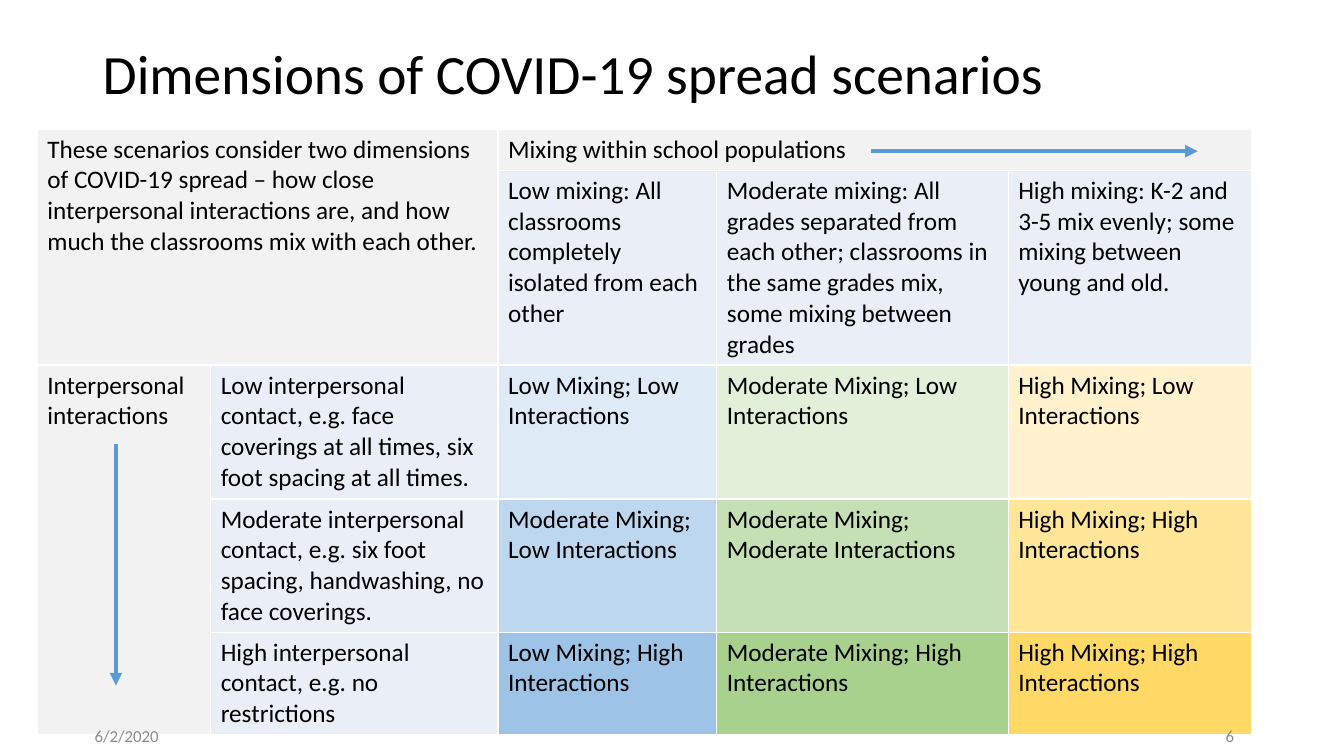
from lxml import etree
from pptx import Presentation
from pptx.dml.color import RGBColor
from pptx.enum.shapes import MSO_CONNECTOR
from pptx.enum.text import MSO_ANCHOR, PP_ALIGN
from pptx.oxml.ns import qn
from pptx.util import Pt

PX = 9144  # EMU per px, 100 px to the inch
STRAIGHT = MSO_CONNECTOR.STRAIGHT
MIDDLE = MSO_ANCHOR.MIDDLE
LEFT, RIGHT = PP_ALIGN.LEFT, PP_ALIGN.RIGHT
GREY, PALE, BLUE = "F2F2F2", "EAEFF7", "5B9BD5"


def rgb(color):
    return RGBColor.from_string(color)


def write(tf, text, size=18, color="000000", align=LEFT, spacing=1.0):
    """Put one formatted paragraph into a text frame."""
    tf.word_wrap = True
    p = tf.paragraphs[0]
    p.alignment = align
    p.line_spacing = spacing
    r = p.add_run()
    r.text = text
    r.font.name = "Calibri"
    r.font.size = Pt(size)
    r.font.color.rgb = rgb(color)


prs = Presentation()
prs.slide_width, prs.slide_height = 1333 * PX, 750 * PX
s = prs.slides.add_slide(prs.slide_layouts[6])

# Scenario table: row, column, text, fill
cells = [
    (0, 0, "These scenarios consider two dimensions of COVID-19 spread – how close "
           "interpersonal interactions are, and how much the classrooms mix with each other.", GREY),
    (0, 2, "Mixing within school populations", GREY),
    (1, 2, "Low mixing: All classrooms completely isolated from each other", PALE),
    (1, 3, "Moderate mixing: All grades separated from each other; classrooms in the same "
           "grades mix, some mixing between grades", PALE),
    (1, 4, "High mixing: K-2 and 3-5 mix evenly; some mixing between young and old.", PALE),
    (2, 0, "Interpersonal interactions", GREY),
    (2, 1, "Low interpersonal contact, e.g. face coverings at all times, "
           "six foot spacing at all times.", PALE),
    (2, 2, "Low Mixing; Low Interactions", "DEEBF7"),
    (2, 3, "Moderate Mixing; Low Interactions", "E2F0D9"),
    (2, 4, "High Mixing; Low Interactions", "FFF2CC"),
    (3, 1, "Moderate interpersonal contact, e.g. six foot spacing, handwashing, "
           "no face coverings.", PALE),
    (3, 2, "Moderate Mixing; Low Interactions", "BDD7EE"),
    (3, 3, "Moderate Mixing; Moderate Interactions", "C5E0B4"),
    (3, 4, "High Mixing; High Interactions", "FFE699"),
    (4, 1, "High interpersonal contact, e.g. no restrictions", PALE),
    (4, 2, "Low Mixing; High Interactions", "9DC3E6"),
    (4, 3, "Moderate Mixing; High Interactions", "A9D18E"),
    (4, 4, "High Mixing; High Interactions", "FFD966"),
]
col_widths = [172, 285, 217, 289, 241]
row_heights = [41, 192, 133, 132, 102]
table = s.shapes.add_table(len(row_heights), len(col_widths), 37 * PX, 128 * PX,
                           sum(col_widths) * PX, sum(row_heights) * PX).table
for col, width in zip(table.columns, col_widths):
    col.width = width * PX
for row, height in zip(table.rows, row_heights):
    row.height = height * PX
for top, left, bottom, right in [(0, 0, 1, 1), (0, 2, 0, 4), (2, 0, 4, 0)]:
    table.cell(top, left).merge(table.cell(bottom, right))

for cell in table.iter_cells():
    tcPr = cell._tc.get_or_add_tcPr()
    for side in ("a:lnL", "a:lnR", "a:lnT", "a:lnB"):
        ln = etree.SubElement(tcPr, qn(side), w=str(Pt(1)))
        fill = etree.SubElement(ln, qn("a:solidFill"))
        etree.SubElement(fill, qn("a:srgbClr"), val="FFFFFF")
    cell.fill.solid()
    cell.fill.fore_color.rgb = rgb(GREY)
for row, col, text, color in cells:
    cell = table.cell(row, col)
    cell.fill.fore_color.rgb = rgb(color)
    write(cell.text_frame, text)

# Title, date and slide number
for x, y, w, h, text, style in [
    (92, 40, 1150, 72, "Dimensions of COVID-19 spread scenarios", dict(size=39.6, spacing=0.9)),
    (84, 710, 300, 40, "6/2/2020", dict(size=12, color="8C8C8C")),
    (934, 710, 300, 40, "6", dict(size=12, color="8C8C8C", align=RIGHT)),
]:
    tf = s.shapes.add_textbox(x * PX, y * PX, w * PX, h * PX).text_frame
    tf.vertical_anchor = MIDDLE
    write(tf, text, **style)

# Arrows of increasing mixing and interaction
for x1, y1, x2, y2 in [(864, 150, 1188, 150), (115, 440, 115, 680)]:
    arrow = s.shapes.add_connector(STRAIGHT, x1 * PX, y1 * PX, x2 * PX, y2 * PX)
    arrow.line.color.rgb = rgb(BLUE)
    arrow.line.width = Pt(3)
    etree.SubElement(arrow.line._get_or_add_ln(), qn("a:tailEnd"), type="triangle")
    etree.SubElement(arrow._element.spPr, qn("a:effectLst"))

prs.save("out.pptx")
